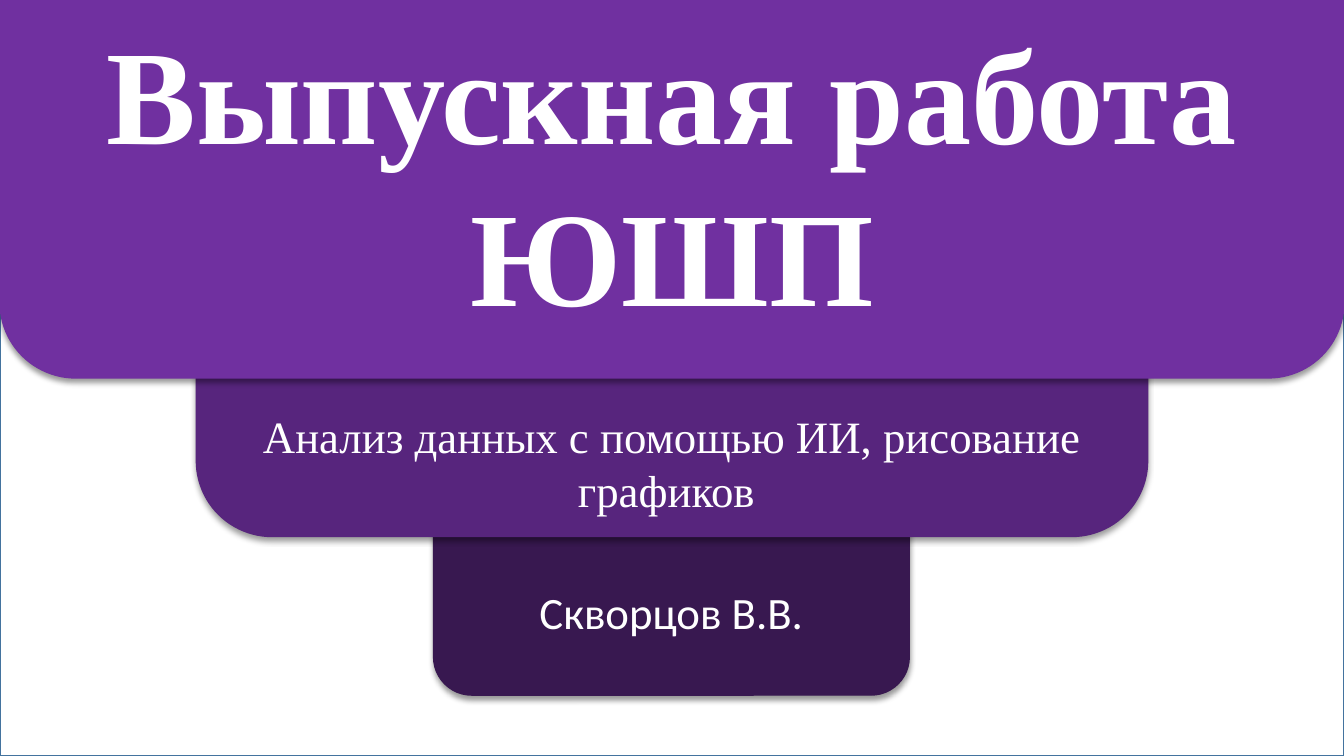
from dataclasses import dataclass

from lxml import etree
from pptx import Presentation
from pptx import util as u
from pptx.dml.color import RGBColor
from pptx.enum import shapes, text
from pptx.oxml import ns

PX = 9525
WIDTH, HEIGHT = 1280, 720

WHITE = RGBColor(0xFF, 0xFF, 0xFF)
FRAME = RGBColor(0x43, 0x73, 0x9E)
VIOLET = RGBColor(0x70, 0x30, 0xA0)
PURPLE = RGBColor(0x57, 0x25, 0x7D)
PLUM = RGBColor(0x38, 0x18, 0x50)


@dataclass(frozen=True)
class Tier:
    top: int
    width: int
    height: int
    text_top: int
    color: RGBColor
    label: str
    font: str
    size: int
    bold: bool = False
    closing_paragraph: bool = False


TIERS = [
    Tier(444, 453, 218, 64, PLUM, "Скворцов В.В.", "Calibri", 32),
    Tier(78, 906, 433, 348, PURPLE, "Анализ данных с помощью ИИ, рисование графиков ",
         "Times New Roman", 32, closing_paragraph=True),
    Tier(-73, WIDTH, 433, 45, VIOLET, "Выпускная работа ЮШП", "Times New Roman", 96, bold=True),
]


def px(n: int) -> u.Emu:
    return u.Emu(n * PX)


def add_panel(slide, kind, left: int, top: int, width: int, height: int,
              fill: RGBColor, line: RGBColor):
    sp = slide.shapes.add_shape(kind, px(left), px(top), px(width), px(height))
    sp.shadow.inherit = False
    sp.fill.solid()
    sp.fill.fore_color.rgb = fill
    sp.line.color.rgb = line
    sp.line.width = u.Pt(1)
    return sp


def add_shadow(sp) -> None:
    effects = sp.element.spPr.find(ns.qn("a:effectLst"))
    shadow = etree.SubElement(effects, ns.qn("a:outerShdw"), blurRad=str(u.Pt(4)),
                              dist=str(u.Pt(3)), dir="5400000", rotWithShape="0")
    color = etree.SubElement(shadow, ns.qn("a:srgbClr"), val="000000")
    etree.SubElement(color, ns.qn("a:alpha"), val="40000")


def add_tier(slide, tier: Tier) -> None:
    sp = add_panel(slide, shapes.MSO_SHAPE.ROUNDED_RECTANGLE, (WIDTH - tier.width) // 2,
                   tier.top, tier.width, tier.height, tier.color, tier.color)
    add_shadow(sp)
    tf = sp.text_frame
    tf.word_wrap = True
    tf.vertical_anchor = text.MSO_ANCHOR.MIDDLE
    tf.margin_left = tf.margin_right = px(10)
    tf.margin_top, tf.margin_bottom = px(tier.text_top), px(5)
    p = tf.paragraphs[0]
    p.alignment = text.PP_ALIGN.CENTER
    r = p.add_run()
    r.text = tier.label
    r.font.name = tier.font
    r.font.size = u.Pt(tier.size)
    r.font.bold = tier.bold
    r.font.color.rgb = WHITE
    if tier.closing_paragraph:
        closing = tf.add_paragraph()
        closing.alignment = text.PP_ALIGN.CENTER
        closing.font.size = u.Pt(tier.size)


def main() -> None:
    prs = Presentation()
    prs.slide_width, prs.slide_height = px(WIDTH), px(HEIGHT)
    slide = prs.slides.add_slide(prs.slide_layouts[6])
    add_panel(slide, shapes.MSO_SHAPE.RECTANGLE, 0, 0, WIDTH, HEIGHT, WHITE, FRAME)
    for tier in TIERS:
        add_tier(slide, tier)
    prs.save("out.pptx")


if __name__ == "__main__":
    main()
